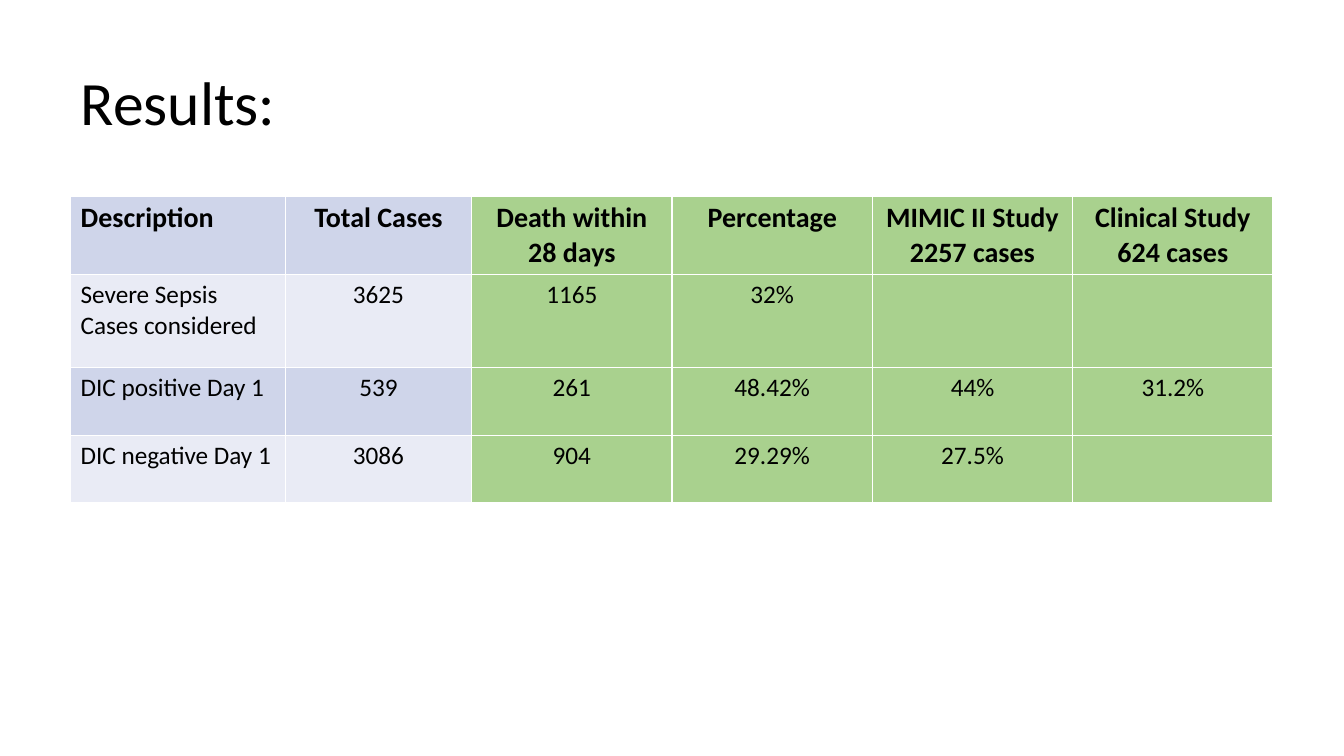
"""Build the results slide: a title above a table of sepsis outcomes."""
from lxml.etree import SubElement
from pptx import Presentation
from pptx.dml.color import RGBColor
from pptx.enum.text import MSO_ANCHOR, MSO_AUTO_SIZE, PP_ALIGN
from pptx.oxml.ns import qn
from pptx.util import Pt

HEADING = "Results:"
RESULTS = [
    ("Description", "Total Cases", "Death within 28 days", "Percentage",
     "MIMIC II Study\n2257 cases", "Clinical Study\n624 cases"),
    ("Severe Sepsis Cases considered", "3625", "1165", "32%", "", ""),
    ("DIC positive Day 1", "539", "261", "48.42%", "44%", "31.2%"),
    ("DIC negative Day 1", "3086", "904", "29.29%", "27.5%", ""),
]
COLORS = {"text": "000000", "border": "FFFFFF", "outcome": "A9D18E",
          "odd": "CFD5EA", "even": "E9EBF5"}
FONTS = {
    "heading": {"size": Pt(44), "bold": False},
    "header": {"size": Pt(20), "bold": True},
    "value": {"size": Pt(18), "bold": False},
}
LEFT = 50.4
HEADING_BOX = {"left": Pt(LEFT), "top": Pt(23), "width": Pt(828), "height": Pt(104.4)}
TABLE_TOP = 140
COLUMN_WIDTHS = [153.4, 133.2] + [143.1] * 4
ROW_HEIGHTS = [55.4, 66.4, 48.2, 48.2]
PLAIN_COLUMNS = 2


def format_text(paragraph, role, alignment):
    paragraph.alignment = alignment
    for name, value in {"name": "Calibri", **FONTS[role]}.items():
        setattr(paragraph.font, name, value)
    paragraph.font.color.rgb = RGBColor.from_string(COLORS["text"])


def add_borders(cell):
    properties = cell._tc.get_or_add_tcPr()
    for side in ("lnL", "lnR", "lnT", "lnB"):
        line = SubElement(properties, qn(f"a:{side}"), w=str(Pt(1)))
        fill = SubElement(line, qn("a:solidFill"))
        SubElement(fill, qn("a:srgbClr"), val=COLORS["border"])


def fill_cell(cell, text, row, column):
    add_borders(cell)
    band = "even" if row % 2 else "odd"
    shade = band if column < PLAIN_COLUMNS else "outcome"
    cell.fill.solid()
    cell.fill.fore_color.rgb = RGBColor.from_string(COLORS[shade])
    cell.text = text
    for paragraph in cell.text_frame.paragraphs:
        format_text(paragraph, "value" if row else "header",
                    PP_ALIGN.CENTER if column else PP_ALIGN.LEFT)


def add_heading(slide):
    heading = slide.shapes.title
    for name, value in HEADING_BOX.items():
        setattr(heading, name, value)
    frame = heading.text_frame
    frame.text = HEADING
    frame.auto_size = MSO_AUTO_SIZE.NONE
    frame.vertical_anchor = MSO_ANCHOR.MIDDLE
    frame.paragraphs[0].line_spacing = 0.9
    format_text(frame.paragraphs[0], "heading", PP_ALIGN.LEFT)


def add_results(slide):
    results = slide.shapes.add_table(
        len(RESULTS), len(COLUMN_WIDTHS), Pt(LEFT), Pt(TABLE_TOP),
        Pt(sum(COLUMN_WIDTHS)), Pt(sum(ROW_HEIGHTS))).table
    for column, width in zip(results.columns, COLUMN_WIDTHS):
        column.width = Pt(width)
    for row, height in zip(results.rows, ROW_HEIGHTS):
        row.height = Pt(height)
    for row, entries in enumerate(RESULTS):
        for column, text in enumerate(entries):
            fill_cell(results.cell(row, column), text, row, column)


def main():
    deck = Presentation()
    deck.slide_width, deck.slide_height = Pt(960), Pt(540)
    slide = deck.slides.add_slide(deck.slide_layouts.get_by_name("Title Only"))
    add_heading(slide)
    add_results(slide)
    deck.save("out.pptx")


if __name__ == "__main__":
    main()
